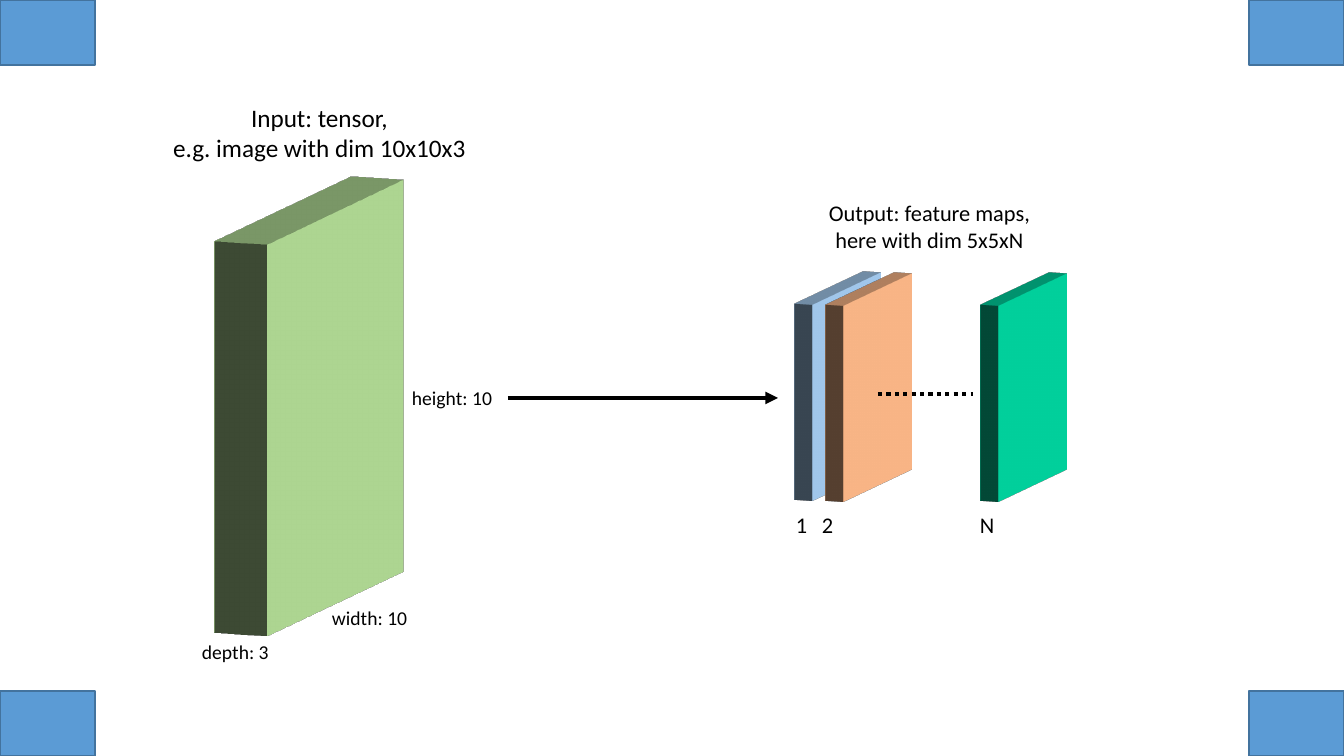
from lxml import etree
from pptx import Presentation
from pptx import util as u
from pptx.dml.color import RGBColor
from pptx.enum import dml, shapes, text
from pptx.oxml.ns import qn

# Content: lengths in px, 100.8 px to the inch
SLIDE_WIDTH, SLIDE_HEIGHT = 1344, 756
EMU_PER_PX = 914400 / 100.8
FONT = "Calibri"
COLORS = {
    "corner": "5B9BD5", "corner_line": "43739E", "ink": "000000",
    "input": "A9D18E", "map_1": "9DC3E6", "map_2": "F4B183", "map_n": "00CC99",
}
CORNER_WIDTH, CORNER_HEIGHT = 95, 65

# Extruded squares: colour, left, top, side, depth
BLOCKS = [
    ("input", 137, 209, 397, 56),
    ("map_1", 747, 287, 199, 19),
    ("map_2", 778, 288, 199, 19),
    ("map_n", 933, 288, 199, 19),
]
# Camera angles in degrees
LATITUDE, LONGITUDE = 10, 290
ANGLE_UNITS = 60000

# Text, box, points, alignment
CENTER, LEFT = text.PP_ALIGN.CENTER, text.PP_ALIGN.LEFT
LABELS = [
    ("Input: tensor,\ne.g. image with dim 10x10x3", (161, 97, 317, 71), 18, CENTER),
    ("height: 10", (402, 381, 158, 34), 14, LEFT),
    ("width: 10", (322, 601, 158, 34), 14, LEFT),
    ("depth: 3", (192, 635, 99, 34), 14, LEFT),
    ("Output: feature maps,\nhere with dim 5x5xN", (771, 194, 317, 64), 16, CENTER),
]
MAP_NUMBERS = ("1\t2\tN", (786, 506, 267, 37), 16, LEFT)
MAP_TABS = (26, 184)


def px(length):
    return u.Emu(round(length * EMU_PER_PX))


def color(name):
    return RGBColor.from_string(COLORS[name])


def add_rectangle(slide, name, box):
    shape = slide.shapes.add_shape(shapes.MSO_SHAPE.RECTANGLE, *map(px, box))
    shape.shadow.inherit = False
    shape.fill.solid()
    shape.fill.fore_color.rgb = color(name)
    return shape


def add_block(slide, name, left, top, side, depth):
    shape = add_rectangle(slide, name, (left, top, side, side))
    shape.line.fill.background()
    properties = shape._element.spPr
    scene = etree.SubElement(properties, qn("a:scene3d"))
    camera = etree.SubElement(scene, qn("a:camera"), prst="isometricOffAxis1Right")
    etree.SubElement(camera, qn("a:rot"), lat=str(LATITUDE * ANGLE_UNITS),
                     lon=str(LONGITUDE * ANGLE_UNITS), rev="0")
    etree.SubElement(scene, qn("a:lightRig"), rig="threePt", dir="t")
    etree.SubElement(properties, qn("a:sp3d"), extrusionH=str(px(depth)))


def add_line(slide, left, right, y):
    connector = slide.shapes.add_connector(
        shapes.MSO_CONNECTOR.STRAIGHT, px(left), px(y), px(right), px(y))
    connector.line.color.rgb = color("ink")
    connector.line.width = u.Pt(3)
    etree.SubElement(connector._element.spPr, qn("a:effectLst"))
    return connector


def add_label(slide, words, box, size, alignment, tabs=()):
    label = slide.shapes.add_textbox(*map(px, box))
    frame = label.text_frame
    frame.word_wrap = True
    frame.auto_size = text.MSO_AUTO_SIZE.SHAPE_TO_FIT_TEXT
    frame.text = words
    for paragraph in frame.paragraphs:
        paragraph.alignment = alignment
        if tabs:
            tab_list = etree.SubElement(
                paragraph._p.get_or_add_pPr(), qn("a:tabLst"))
            for tab in tabs:
                etree.SubElement(tab_list, qn("a:tab"), pos=str(px(tab)), algn="l")
        for run in paragraph.runs:
            run.font.name = FONT
            run.font.size = u.Pt(size)
            run.font.color.rgb = color("ink")


def main():
    presentation = Presentation()
    presentation.slide_width = px(SLIDE_WIDTH)
    presentation.slide_height = px(SLIDE_HEIGHT)
    slide = presentation.slides.add_slide(presentation.slide_layouts[6])

    # Corner rectangles
    for left in (0, SLIDE_WIDTH - CORNER_WIDTH):
        for top in (0, SLIDE_HEIGHT - CORNER_HEIGHT):
            corner = add_rectangle(
                slide, "corner", (left, top, CORNER_WIDTH, CORNER_HEIGHT))
            corner.line.color.rgb = color("corner_line")
            corner.line.width = u.Pt(1)

    # Input tensor and feature maps
    for block in BLOCKS:
        add_block(slide, *block)

    # Arrow from input to output, dots between the maps
    arrow = add_line(slide, 508, 778, 398)
    etree.SubElement(arrow.line._get_or_add_ln(), qn("a:tailEnd"), type="triangle")
    dots = add_line(slide, 878, 973, 394)
    dots.line.dash_style = dml.MSO_LINE.ROUND_DOT

    # Labels
    for label in LABELS:
        add_label(slide, *label)
    add_label(slide, *MAP_NUMBERS, tabs=MAP_TABS)

    presentation.save("out.pptx")


if __name__ == "__main__":
    main()
